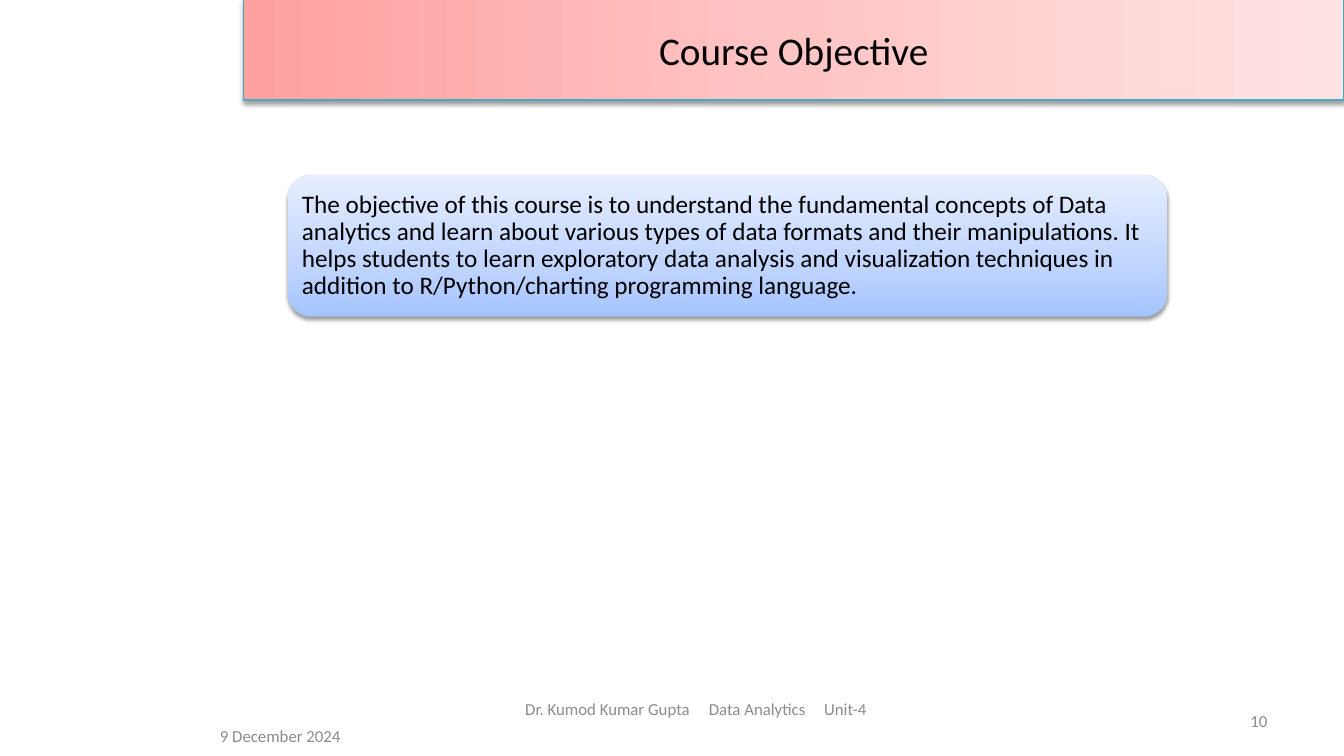
from copy import deepcopy
from dataclasses import dataclass

from lxml.etree import SubElement
from pptx import Presentation
from pptx.dml.color import RGBColor
from pptx.enum.shapes import MSO_SHAPE
from pptx.enum.text import MSO_ANCHOR, PP_ALIGN
from pptx.oxml.ns import qn
from pptx.util import Pt


@dataclass(frozen=True)
class Theme:
    """Colours, type sizes and font of the slide."""
    font: str = "Calibri"
    ink: str = "000000"
    grey: str = "8C8C8C"
    edge: str = "46AAC5"
    rose: tuple = ((0, "FFA0A0"), (0.5, "FFC5C5"), (1, "FFE3E3"))
    blue: tuple = ((0, "A4C4FF"), (0.35, "BFD4FF"), (1, "E6EEFF"))
    title: int = 28
    body: int = 18
    small: int = 12


THEME = Theme()


def paint(shape, stops, angle):
    """Fill a shape with a gradient of three or more stops."""
    shape.fill.gradient()
    shape.fill.gradient_angle = angle
    holder = shape._element.spPr.find(".//" + qn("a:gsLst"))
    while len(holder) < len(stops):
        holder.append(deepcopy(holder[0]))
    for stop, (place, tint) in zip(shape.fill.gradient_stops, stops):
        stop.position = place
        stop.color.rgb = RGBColor.from_string(tint)


def shade(shape):
    """Give a shape a soft shadow straight below it."""
    shape.shadow.inherit = False
    effects = shape._element.spPr.find(qn("a:effectLst"))
    outer = SubElement(effects, qn("a:outerShdw"), blurRad=str(Pt(3.1)),
                       dist=str(Pt(1.6)), dir="5400000", rotWithShape="0")
    black = SubElement(outer, qn("a:srgbClr"), val=THEME.ink)
    SubElement(black, qn("a:alpha"), val="38000")


def panel(slide, kind, box, stops, angle):
    """Draw a shaded gradient panel and return it."""
    shape = slide.shapes.add_shape(kind, *map(Pt, box))
    paint(shape, stops, angle)
    shape.line.fill.background()
    shade(shape)
    return shape


def write(shape, text, size, tint, align=PP_ALIGN.LEFT):
    """Set one styled paragraph in a shape and return it."""
    frame = shape.text_frame
    frame.word_wrap = True
    frame.vertical_anchor = MSO_ANCHOR.MIDDLE
    para = frame.paragraphs[0]
    para.text = text
    para.alignment = align
    para.font.name = THEME.font
    para.font.size = Pt(size)
    para.font.color.rgb = RGBColor.from_string(tint)
    return para


def header(slide, box, text):
    """Draw the title band."""
    band = panel(slide, MSO_SHAPE.RECTANGLE, box, THEME.rose, 0)
    band.line.color.rgb = RGBColor.from_string(THEME.edge)
    band.line.width = Pt(0.75)
    write(band, text, THEME.title, THEME.ink, PP_ALIGN.CENTER)


def card(slide, box, text):
    """Draw the rounded card with its inset text."""
    panel(slide, MSO_SHAPE.ROUNDED_RECTANGLE, box, THEME.blue, 90)
    left, top, width, height = box
    pad = 5
    label = slide.shapes.add_textbox(Pt(left + pad), Pt(top + pad),
                                     Pt(width - 2 * pad), Pt(height - 2 * pad))
    frame = label.text_frame
    frame.margin_left = frame.margin_right = Pt(pad)
    frame.margin_top = frame.margin_bottom = Pt(pad)
    write(label, text, THEME.body, THEME.ink).line_spacing = 0.9


def note(slide, box, text, align=PP_ALIGN.LEFT):
    """Add one small grey footer text."""
    label = slide.shapes.add_textbox(*map(Pt, box))
    write(label, text, THEME.small, THEME.grey, align)
    return label


def credit(slide, box, parts, inset, stops):
    """Add a footer whose parts stand at tab stops."""
    label = note(slide, box, "")
    label.text_frame.margin_left = Pt(inset)
    para = label.text_frame.paragraphs[0]
    props = para._p.get_or_add_pPr()
    tabs = SubElement(props, qn("a:tabLst"))
    for stop in stops:
        SubElement(tabs, qn("a:tab"), pos=str(Pt(stop)), algn="l")
    props.insert(0, tabs)
    para.text = "\t".join(parts)


def footer(slide, box):
    """Place date, number and credit in the footer area."""
    left, top, width, height = box
    row = 28.8
    note(slide, (left, top + height - row, 168, row), "9 December 2024")
    note(slide, (left + width - 224, top + 8.6, 224, row), "10", PP_ALIGN.RIGHT)
    credit(slide, (left + 150.2, top, 396, row),
           ("Dr. Kumod Kumar Gupta", "Data Analytics", "Unit-4"),
           75, (131.2, 213.5))


def main():
    """Build the slide and save it."""
    deck = Presentation()
    deck.slide_width, deck.slide_height = Pt(960), Pt(540)
    slide = deck.slides.add_slide(deck.slide_layouts[6])
    header(slide, (174, 0, 786, 71.5), "Course Objective")
    footer(slide, (150, 491.8, 762.3, 48.2))
    card(slide, (205.7, 125.2, 628, 101),
         "The objective of this course is to understand the fundamental "
         "concepts of Data analytics and learn about various types of data "
         "formats and their manipulations. It helps students to learn "
         "exploratory data analysis and visualization techniques in addition "
         "to R/Python/charting programming language.")
    deck.save("out.pptx")


if __name__ == "__main__":
    main()
